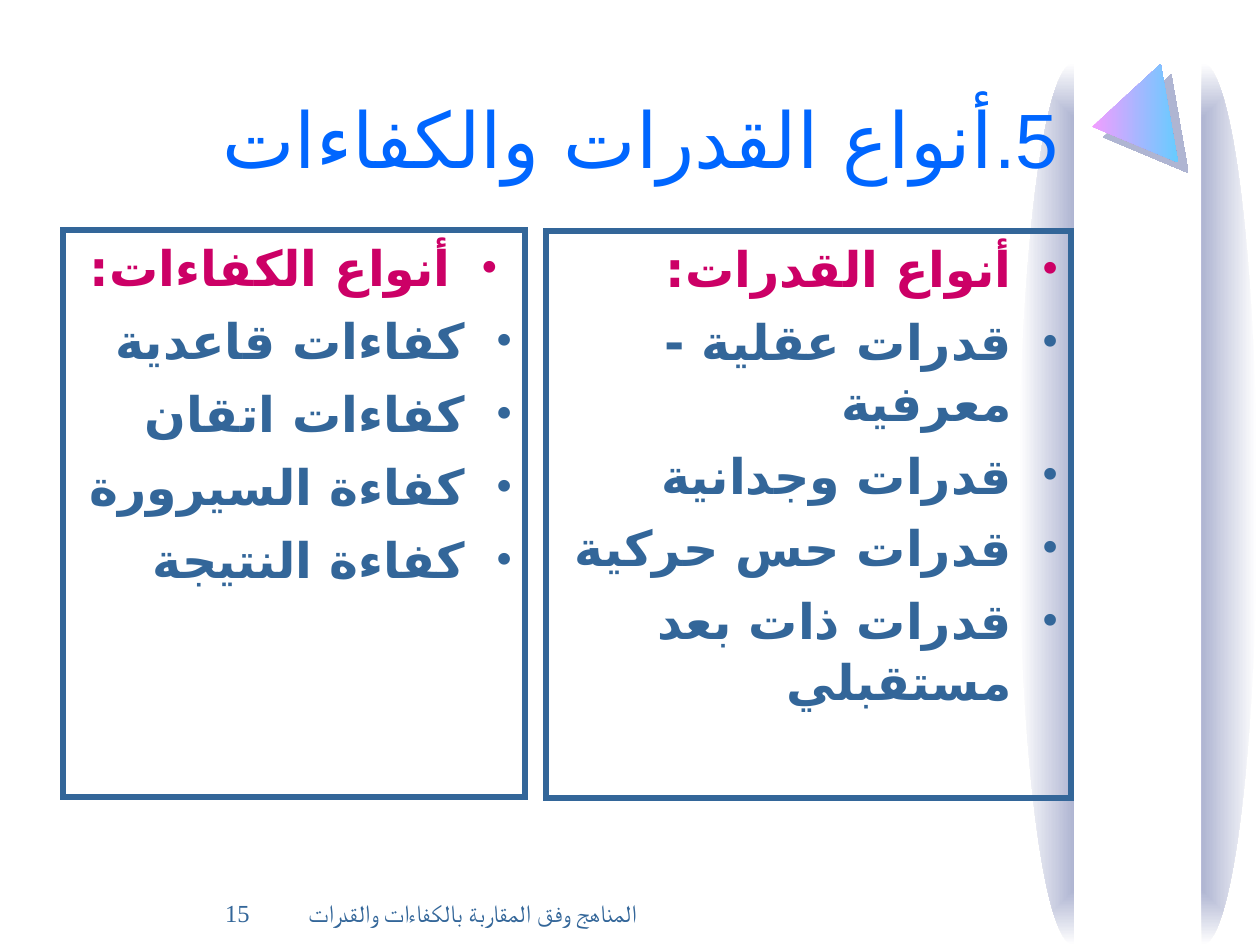
from lxml import etree
from pptx import Presentation
from pptx.dml.color import RGBColor
from pptx.enum.shapes import MSO_SHAPE
from pptx.enum.text import MSO_ANCHOR, PP_ALIGN
from pptx.oxml import parse_xml
from pptx.oxml.ns import nsdecls, qn
from pptx.util import Pt

ARC, TRIANGLE = MSO_SHAPE.ARC, MSO_SHAPE.ISOSCELES_TRIANGLE
TOP, MIDDLE, BOTTOM = MSO_ANCHOR.TOP, MSO_ANCHOR.MIDDLE, MSO_ANCHOR.BOTTOM
CENTER, RIGHT = PP_ALIGN.CENTER, PP_ALIGN.RIGHT

PX = 914400 / 126


class Theme:
    blue, ink, accent = "0066FF", "336699", "CC0066"
    shade, white, pink, sky = "AFB5D2", "FFFFFF", "FF99FF", "66CCFF"
    title, body, footer = 44, 28, 14
    latin, digits, arabic = "Times New Roman", "Arial", "DejaVu Sans"
    border, body_space, body_lines = 3, 7, 1.03


TITLE_NUMBER, TITLE = "5.", "أنواع القدرات والكفاءات"
FOOTER = "المناهج وفق المقاربة بالكفاءات والقدرات"
PAGE = "15"
# box in px, alignment of the heading, heading, items
LISTS = [
    ((63, 230, 462, 567), CENTER, "أنواع الكفاءات:",
     ["كفاءات قاعدية", "كفاءات اتقان", "كفاءة السيرورة", "كفاءة النتيجة"]),
    ((546, 231, 525, 567), RIGHT, "أنواع القدرات:",
     ["قدرات عقلية - معرفية", "قدرات وجدانية", "قدرات حس حركية",
      "قدرات ذات بعد مستقبلي"]),
]
# left edge in px, start and end angle
HALF_COLUMNS = [(1147, 270, 90), (1019, 90, 270)]


def emu(box):
    return [round(v * PX) for v in box]


def add_decor(slide, kind, box, colors, direction):
    """Add an unlined shape filled with a two-colour gradient."""
    sp = slide.shapes.add_shape(kind, *emu(box))
    sp.shadow.inherit = False
    sp.line.fill.background()
    stops = "".join(f'<a:gs pos="{pos}"><a:srgbClr val="{color}"/></a:gs>'
                    for pos, color in zip((0, 100000), colors))
    sp.element.spPr.find(qn("a:prstGeom")).addnext(parse_xml(
        f'<a:gradFill {nsdecls("a")} rotWithShape="1">'
        f"<a:gsLst>{stops}</a:gsLst>{direction}</a:gradFill>"))
    return sp


def add_half_column(slide, left, start, end):
    center = ('<a:path path="rect"><a:fillToRect l="50000" t="50000" '
              'r="50000" b="50000"/></a:path>')
    sp = add_decor(slide, ARC, (left, 63, 110, 882),
                   (Theme.shade, Theme.white), center)
    # angles are stored in 60000ths of a degree, adjustments in 100000ths
    sp.adjustments[0], sp.adjustments[1] = start * 0.6, end * 0.6


def add_triangle(slide):
    # 80 degrees runs left to right once the shape is flipped and turned
    sp = add_decor(slide, TRIANGLE, (1081, 81, 100, 78),
                   (Theme.pink, Theme.sky), '<a:lin ang="4800000" scaled="0"/>')
    sp.rotation = 260
    sp.element.spPr.find(qn("a:xfrm")).set("flipH", "1")
    effects = sp.element.spPr.find(qn("a:effectLst"))
    effects.append(parse_xml(
        f'<a:outerShdw {nsdecls("a")} dist="{Pt(8.5)}" dir="2700000" '
        f'algn="ctr" rotWithShape="0"><a:srgbClr val="{Theme.shade}"/>'
        "</a:outerShdw>"))


def add_box(slide, box, anchor):
    sp = slide.shapes.add_textbox(*emu(box))
    sp.text_frame.word_wrap = True
    sp.text_frame.vertical_anchor = anchor
    return sp


def write(p, parts, size, color, align, bold=False):
    """Fill a right-to-left paragraph with (text, script font) runs."""
    p.alignment = align
    p._p.get_or_add_pPr().set("rtl", "1")
    for text, script_font in parts:
        r = p.add_run()
        r.text = text
        r.font.size, r.font.bold = Pt(size), bold
        r.font.color.rgb = RGBColor.from_string(color)
        r.font.name = Theme.latin
        etree.SubElement(r.font._element, qn("a:cs"), typeface=script_font)


def add_bullet(p, color):
    pPr = p._p.get_or_add_pPr()
    pPr.set("marL", "342900")
    pPr.set("marR", "0")
    pPr.set("indent", "-342900")
    clr = etree.SubElement(pPr, qn("a:buClr"))
    etree.SubElement(clr, qn("a:srgbClr"), val=color)
    etree.SubElement(pPr, qn("a:buFont"), typeface=Theme.latin)
    etree.SubElement(pPr, qn("a:buChar"), char="•")


def add_list(slide, box, heading_align, heading, items):
    sp = add_box(slide, box, TOP)
    sp.line.color.rgb = RGBColor.from_string(Theme.ink)
    sp.line.width = Pt(Theme.border)
    etree.SubElement(sp.element.spPr.find(qn("a:ln")), qn("a:miter"), lim="800000")
    tf = sp.text_frame
    for i, text in enumerate([heading] + items):
        p = tf.add_paragraph() if i else tf.paragraphs[0]
        color = Theme.ink if i else Theme.accent
        add_bullet(p, color)
        p.line_spacing = Theme.body_lines
        if i:
            p.space_before = Pt(Theme.body_space)
        write(p, [(text, Theme.arabic)], Theme.body, color,
              RIGHT if i else heading_align, True)


def main():
    prs = Presentation()
    prs.slide_width, prs.slide_height = emu((1260, 945))
    slide = prs.slides.add_slide(prs.slide_layouts[6])

    for column in HALF_COLUMNS:
        add_half_column(slide, *column)
    add_triangle(slide)

    title = add_box(slide, (0, 33, 1071, 157), BOTTOM)
    write(title.text_frame.paragraphs[0],
          [(TITLE_NUMBER, Theme.digits), (TITLE, Theme.arabic)],
          Theme.title, Theme.blue, RIGHT)
    for entry in LISTS:
        add_list(slide, *entry)
    for left, width, text, align in [(273, 399, FOOTER, CENTER),
                                     (0, 262, PAGE, RIGHT)]:
        sp = add_box(slide, (left, 881, width, 63), MIDDLE)
        write(sp.text_frame.paragraphs[0], [(text, Theme.latin)],
              Theme.footer, Theme.ink, align)

    prs.save("out.pptx")


if __name__ == "__main__":
    main()
